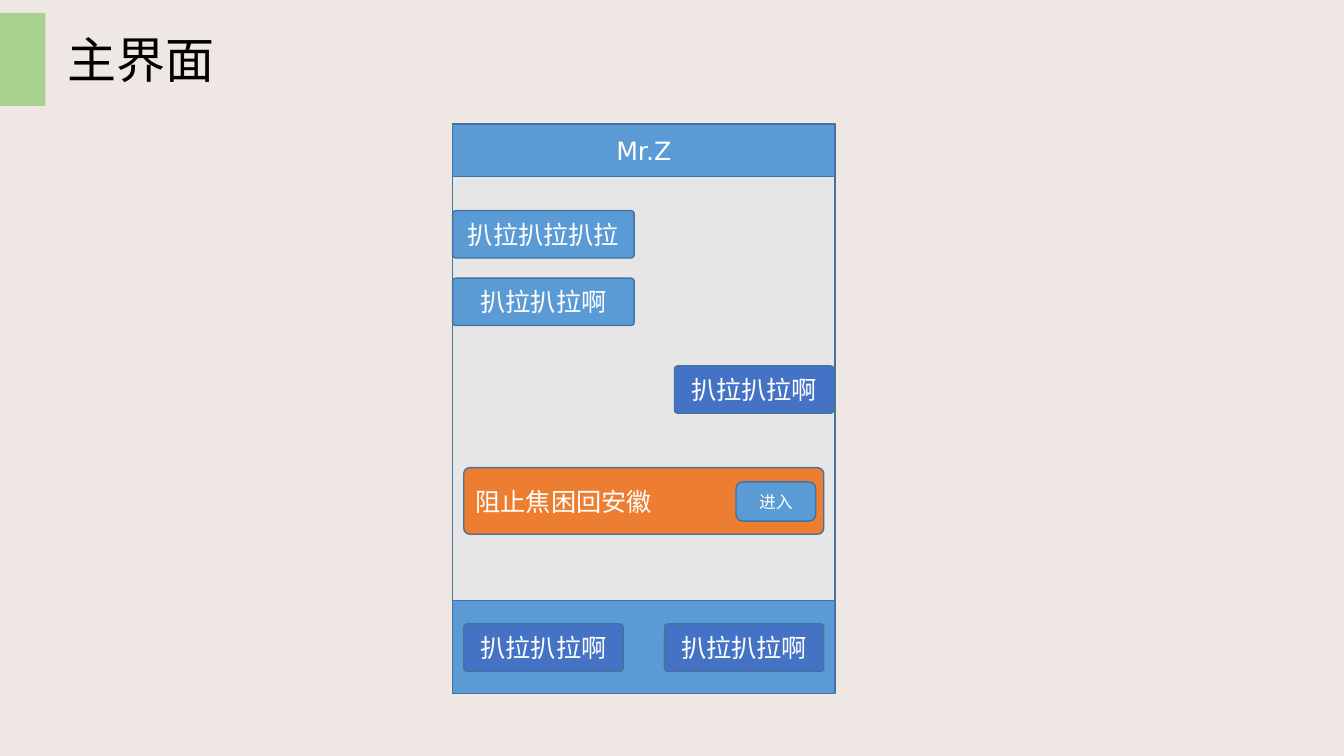
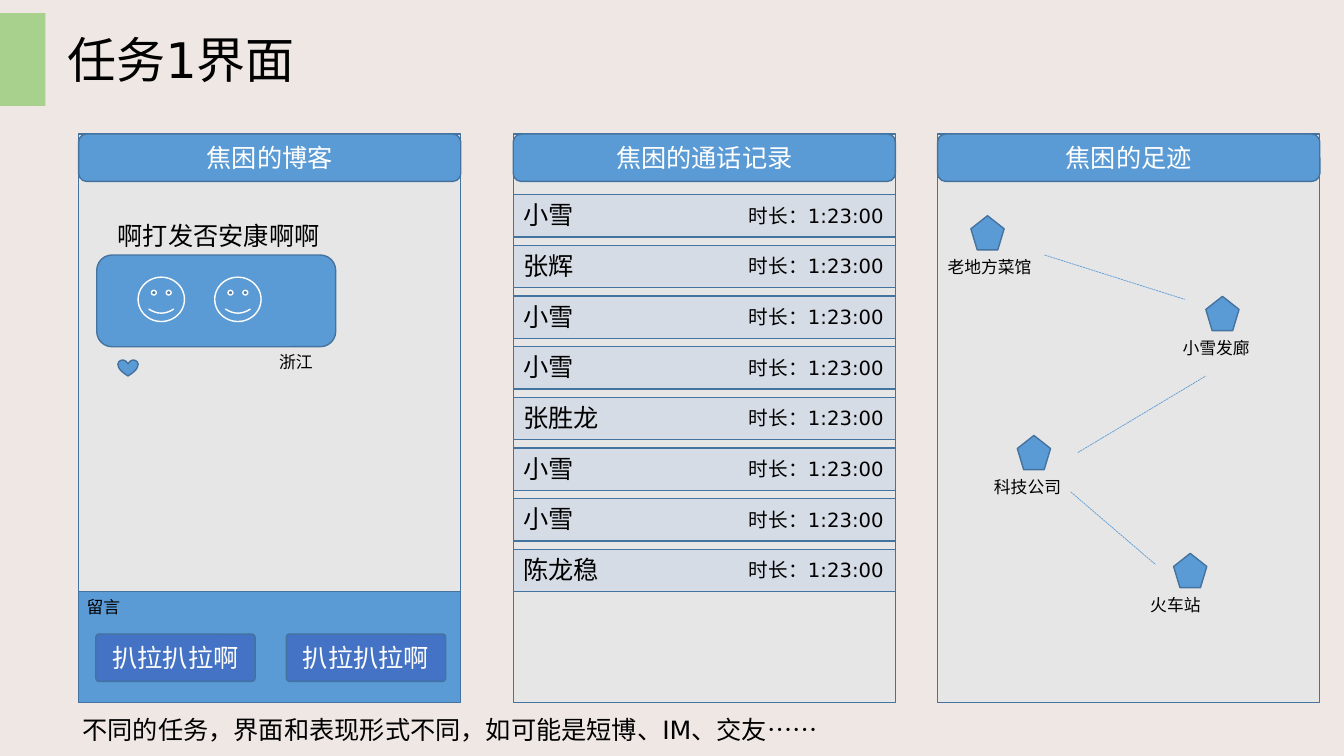
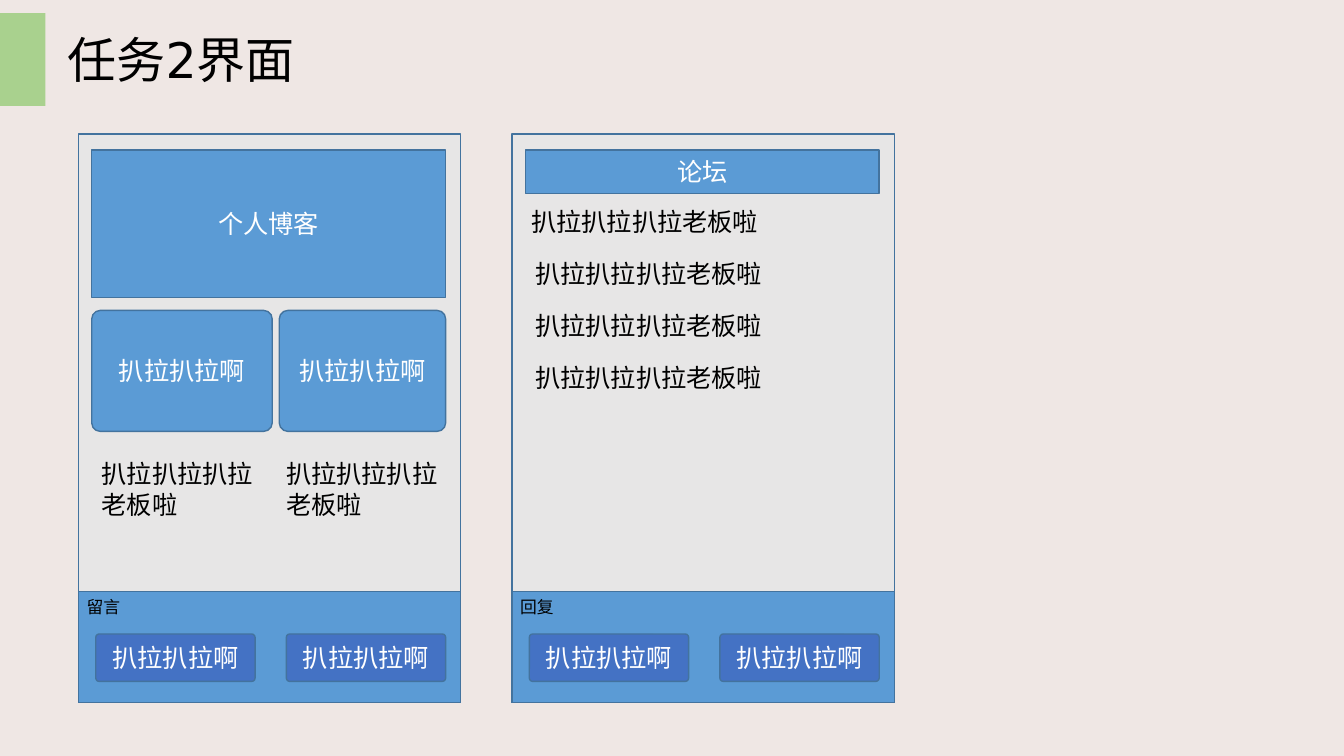
from lxml import etree
from pptx import Presentation
from pptx.dml.color import RGBColor
from pptx.enum import dml, shapes, text
from pptx.oxml import ns
from pptx.util import Inches, Pt

BACKGROUND = RGBColor(0xEF, 0xE7, 0xE4)
GREEN = RGBColor(0xA9, 0xD1, 0x8E)
GREY = RGBColor(0xE7, 0xE6, 0xE6)
BLUE = RGBColor(0x5B, 0x9B, 0xD5)
DEEP_BLUE = RGBColor(0x44, 0x72, 0xC4)
PALE_BLUE = RGBColor(0xD6, 0xDC, 0xE5)
ORANGE = RGBColor(0xED, 0x7D, 0x31)
OUTLINE = RGBColor(0x43, 0x73, 0x9E)
WHITE = RGBColor(0xFF, 0xFF, 0xFF)
BLACK = RGBColor(0x00, 0x00, 0x00)

FONT = "DejaVu Sans"
RECT = shapes.MSO_SHAPE.RECTANGLE
ROUND = shapes.MSO_SHAPE.ROUNDED_RECTANGLE
CENTER, LEFT = text.PP_ALIGN.CENTER, text.PP_ALIGN.LEFT
PANEL_WIDTH, PANEL_HEIGHT = 3.79, 5.64
BUTTON_WIDTH, BUTTON_HEIGHT = 1.58, 0.47
SMALL_CORNER = 0.07
CHAT = "扒拉扒拉啊"
POST = "扒拉扒拉扒拉老板啦"


def add_block(slide, kind, left, top, width, height, fill, words="", size=18,
              align=CENTER, corner=None, outline=OUTLINE):
    block = slide.shapes.add_shape(
        kind, Inches(left), Inches(top), Inches(width), Inches(height))
    block.shadow.inherit = False
    block.fill.solid()
    block.fill.fore_color.rgb = fill
    if outline is None:
        block.line.fill.background()
    else:
        block.line.color.rgb = outline
        block.line.width = Pt(1)
    if corner is not None:
        block.adjustments[0] = corner
    if words:
        block.text_frame.vertical_anchor = text.MSO_ANCHOR.MIDDLE
        paragraph = block.text_frame.paragraphs[0]
        paragraph.alignment = align
        run = paragraph.add_run()
        run.text = words
        run.font.name, run.font.size = FONT, Pt(size)
        run.font.color.rgb = WHITE


def add_label(slide, left, top, width, height, words, size=18):
    label = slide.shapes.add_textbox(
        Inches(left), Inches(top), Inches(width), Inches(height))
    label.text_frame.word_wrap = True
    label.text_frame.auto_size = text.MSO_AUTO_SIZE.SHAPE_TO_FIT_TEXT
    run = label.text_frame.paragraphs[0].add_run()
    run.text = words
    run.font.name, run.font.size = FONT, Pt(size)
    run.font.color.rgb = BLACK


deck = Presentation()
deck.slide_width, deck.slide_height = Inches(13.33), Inches(7.5)
deck.slide_master.background.fill.solid()
deck.slide_master.background.fill.fore_color.rgb = BACKGROUND

# Shared green band and title
for title in ("主界面", "任务1界面", "任务2界面"):
    slide = deck.slides.add_slide(deck.slide_layouts[6])
    add_block(slide, RECT, 0, 0.13, 0.45, 0.92, GREEN, outline=None)
    add_label(slide, 0.57, 0.24, 3.38, 0.69, title, size=35)
home, task_one, task_two = deck.slides

# Phone screens
for slide, left, top in ((home, 4.49, 1.23),
                         (task_one, 0.78, 1.33), (task_one, 5.09, 1.33),
                         (task_one, 9.3, 1.33),
                         (task_two, 0.78, 1.33), (task_two, 5.08, 1.33)):
    add_block(slide, RECT, left, top, PANEL_WIDTH, PANEL_HEIGHT, GREY)

# Comment bars with two reply buttons
for slide, left, prompt in ((task_one, 0.78, "留言"),
                            (task_two, 0.78, "留言"),
                            (task_two, 5.08, "回复")):
    add_block(slide, RECT, left, 5.87, PANEL_WIDTH, 1.1, BLUE)
    add_label(slide, left - 0.02, 5.87, 0.82, 0.3, prompt, size=12)
    for offset in (0.17, 2.06):
        add_block(slide, ROUND, left + offset, 6.29, BUTTON_WIDTH,
                  BUTTON_HEIGHT, DEEP_BLUE, CHAT, corner=SMALL_CORNER)

# Home screen: header, footer and chat
add_block(home, RECT, 4.49, 1.23, PANEL_WIDTH, 0.52, BLUE, "Mr.Z")
add_block(home, RECT, 4.49, 5.96, PANEL_WIDTH, 0.92, BLUE)
for top, message in ((2.09, "扒拉扒拉扒拉"), (2.76, CHAT)):
    add_block(home, ROUND, 4.49, top, 1.8, BUTTON_HEIGHT, BLUE, message,
              corner=SMALL_CORNER)
for left, top in ((4.6, 6.19), (6.59, 6.19), (6.69, 3.63)):
    add_block(home, ROUND, left, top, BUTTON_WIDTH, BUTTON_HEIGHT, DEEP_BLUE,
              CHAT, corner=SMALL_CORNER)

# Home screen: task card
add_block(home, ROUND, 4.6, 4.64, 3.57, 0.66, ORANGE, "阻止焦困回安徽",
          align=LEFT, corner=0.09)
add_block(home, ROUND, 7.3, 4.78, 0.79, 0.39, BLUE, "进入", size=12)

# Task 1: screen headers
for left, heading in ((0.78, "焦困的博客"), (5.09, "焦困的通话记录"),
                      (9.3, "焦困的足迹")):
    add_block(task_one, ROUND, left, 1.33, PANEL_WIDTH, 0.47, BLUE, heading)

# Task 1: blog post
add_block(task_one, ROUND, 0.96, 2.53, 2.37, 0.91, BLUE)
add_label(task_one, 1.07, 2.14, 2.6, 0.4, "啊打发否安康啊啊")
for left in (1.37, 2.13):
    add_block(task_one, shapes.MSO_SHAPE.SMILEY_FACE, left, 2.75, 0.46, 0.44,
              BLUE, outline=WHITE)
add_label(task_one, 2.67, 3.44, 0.82, 0.3, "浙江", size=12)
add_block(task_one, shapes.MSO_SHAPE.HEART, 1.17, 3.57, 0.2, 0.16, BLUE)

# Task 1: call log, rows evenly spread between first and last
callers = ("小雪", "张辉", "小雪", "小雪", "张胜龙", "小雪", "小雪", "陈龙稳")
row_pitch = (5.45 - 1.93) / (len(callers) - 1)
for row, caller in enumerate(callers):
    top = 1.93 + row * row_pitch
    add_block(task_one, RECT, 5.09, top, PANEL_WIDTH, 0.42, PALE_BLUE)
    add_label(task_one, 5.09, top, 1.02, 0.4, caller)
    add_label(task_one, 7.33, top + 0.04, 1.72, 0.34, "时长：1:23:00", size=14)

# Task 1: footprint places and the routes between them
for left, top, place in ((9.63, 2.14, "老地方菜馆"), (11.96, 2.94, "小雪发廊"),
                         (10.09, 4.32, "科技公司"), (11.64, 5.49, "火车站")):
    add_block(task_one, shapes.MSO_SHAPE.REGULAR_PENTAGON, left, top,
              0.33, 0.34, BLUE)
    add_label(task_one, left - 0.33, top + 0.36, 1.05, 0.3, place, size=12)
for x1, y1, x2, y2 in ((10.36, 2.53, 11.75, 2.97), (10.69, 4.49, 11.96, 3.73),
                       (10.62, 4.88, 11.46, 5.6)):
    route = task_one.shapes.add_connector(
        shapes.MSO_CONNECTOR.STRAIGHT,
        Inches(x1), Inches(y1), Inches(x2), Inches(y2))
    route.line.color.rgb = BLUE
    route.line.width = Pt(0.5)
    route.line.dash_style = dml.MSO_LINE.SQUARE_DOT
    etree.SubElement(route._element.spPr, ns.qn("a:effectLst"))

add_label(task_one, 0.72, 7.04, 7.92, 0.4,
          "不同的任务，界面和表现形式不同，如可能是短博、IM、交友……")

# Task 2: personal blog
add_block(task_two, RECT, 0.91, 1.49, 3.51, 1.46, BLUE, "个人博客")
for left, width in ((0.91, 1.79), (2.77, 1.65)):
    add_block(task_two, ROUND, left, 3.08, width, 1.2, BLUE, CHAT,
              corner=SMALL_CORNER)
for left in (0.91, 2.74):
    add_label(task_two, left, 4.5, 1.74, 0.71, POST)

# Task 2: forum
add_block(task_two, RECT, 5.21, 1.49, 3.51, 0.43, BLUE, "论坛")
for left, top in ((5.17, 2), (5.21, 2.51), (5.21, 3.03), (5.21, 3.55)):
    add_label(task_two, left, top, 2.89, 0.4, POST)

deck.save("out.pptx")
